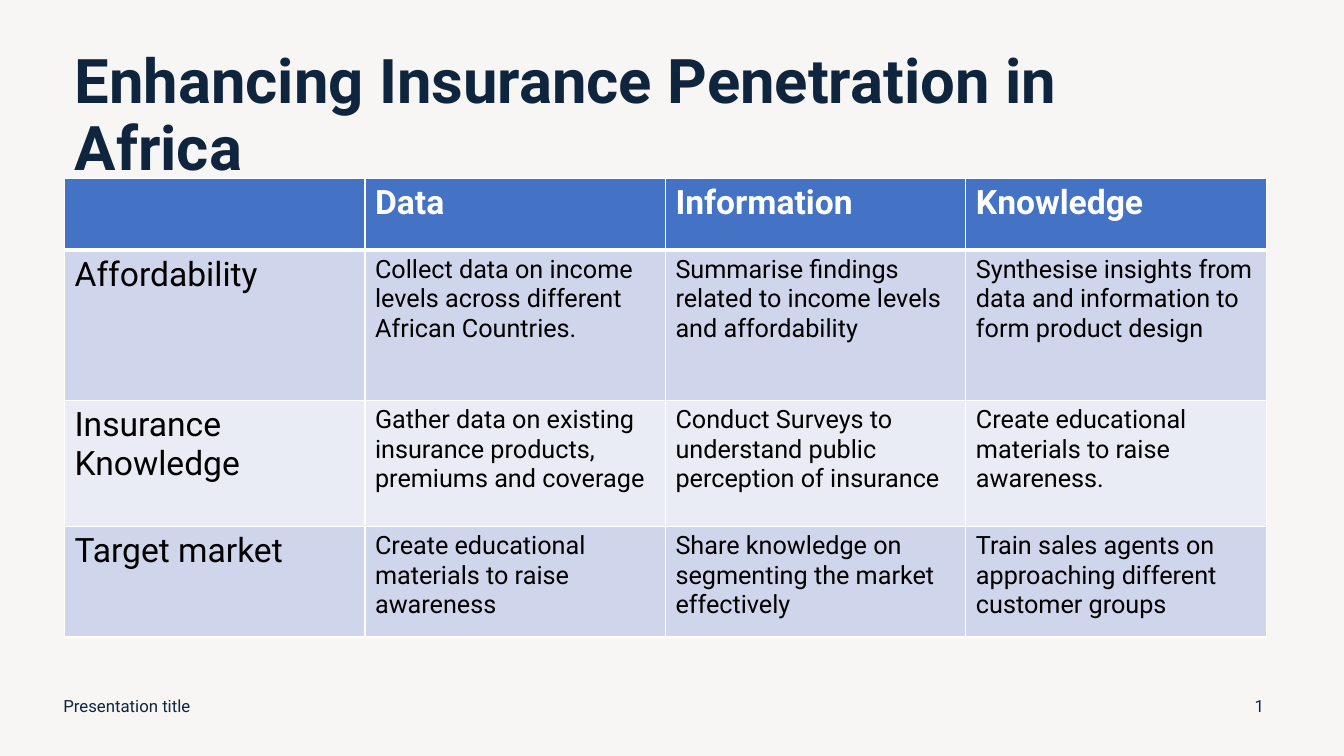
import pptx
import pptx.dml.color
import pptx.enum.text
import pptx.oxml
import pptx.oxml.ns
import pptx.util
from pptx.dml.color import RGBColor
from pptx.util import Inches

NAVY = RGBColor(0x0F, 0x25, 0x3E)
CREAM = RGBColor(0xF8, 0xF6, 0xF5)
BLUE = RGBColor(0x44, 0x72, 0xC4)
BAND_DARK = RGBColor(0xCF, 0xD5, 0xEA)
BAND_LIGHT = RGBColor(0xE9, 0xEB, 0xF5)
WHITE = RGBColor(0xFF, 0xFF, 0xFF)
BLACK = RGBColor(0x00, 0x00, 0x00)

ALIGN = pptx.enum.text.PP_ALIGN
MIDDLE = pptx.enum.text.MSO_ANCHOR.MIDDLE


def write(frame, text, size=12, color=NAVY, bold=False, align=ALIGN.LEFT, spacing=1.0):
    para = frame.paragraphs[0]
    para.alignment = align
    para.line_spacing = spacing
    span = para.add_run()
    span.text = text
    span.font.name = "Roboto"
    span.font.size = pptx.util.Pt(size)
    span.font.bold = bold
    span.font.color.rgb = color


def add_border(cell, side, points):
    cell._tc.get_or_add_tcPr().append(pptx.oxml.parse_xml(
        f'<a:{side} {pptx.oxml.ns.nsdecls("a")} w="{pptx.util.Pt(points)}">'
        f'<a:solidFill><a:srgbClr val="{WHITE}"/></a:solidFill></a:{side}>'))


deck = pptx.Presentation()
deck.slide_width = Inches(13.33)
deck.slide_height = Inches(7.5)
page = deck.slides.add_slide(deck.slide_layouts[5])
page.background.fill.solid()
page.background.fill.fore_color.rgb = CREAM

title = page.shapes.title
title.left, title.top = Inches(0.64), Inches(0.55)
title.width, title.height = Inches(11.5), Inches(1.22)
title.text_frame.auto_size = pptx.enum.text.MSO_AUTO_SIZE.NONE
title.text_frame.word_wrap = True
title.text_frame.vertical_anchor = MIDDLE
write(title.text_frame, "Enhancing Insurance Penetration in Africa", size=44, bold=True, spacing=0.9)

for text, left, width, align in [
    ("Presentation title", 0.53, 4.5, ALIGN.LEFT),
    ("1", 12.24, 0.5, ALIGN.CENTER),
]:
    box = page.shapes.add_textbox(Inches(left), Inches(6.8), Inches(width), Inches(0.4))
    box.text_frame.word_wrap = True
    box.text_frame.vertical_anchor = MIDDLE
    write(box.text_frame, text, align=align)

rows = [
    (0.71, BLUE, ["", "Data", "Information", "Knowledge"]),
    (1.49, BAND_DARK, [
        "Affordability",
        "Collect data on income levels across different African Countries.",
        "Summarise findings related to income levels and affordability",
        "Synthesise insights from data and information to form product design",
    ]),
    (1.25, BAND_LIGHT, [
        "Insurance Knowledge",
        "Gather data on existing insurance products, premiums and coverage",
        "Conduct Surveys to understand public perception of insurance",
        "Create educational materials to raise awareness.",
    ]),
    (1.1, BAND_DARK, [
        "Target market",
        "Create educational materials to raise awareness",
        "Share knowledge on segmenting the market effectively",
        "Train sales agents on approaching different customer groups",
    ]),
]
table = page.shapes.add_table(
    4, 4, Inches(0.64), Inches(1.77), Inches(11.92), Inches(4.55)).table
for column in table.columns:
    column.width = Inches(2.98)

for row_index, (height, fill, texts) in enumerate(rows):
    table.rows[row_index].height = Inches(height)
    header = row_index == 0
    for column_index, text in enumerate(texts):
        cell = table.cell(row_index, column_index)
        add_border(cell, "lnL", 1)
        add_border(cell, "lnR", 1)
        add_border(cell, "lnT", 3 if row_index == 1 else 1)
        add_border(cell, "lnB", 3 if header else 1)
        cell.fill.solid()
        cell.fill.fore_color.rgb = fill
        if text:
            write(cell.text_frame, text,
                  size=24 if header or column_index == 0 else 18,
                  color=WHITE if header else BLACK, bold=header)

deck.save("out.pptx")
